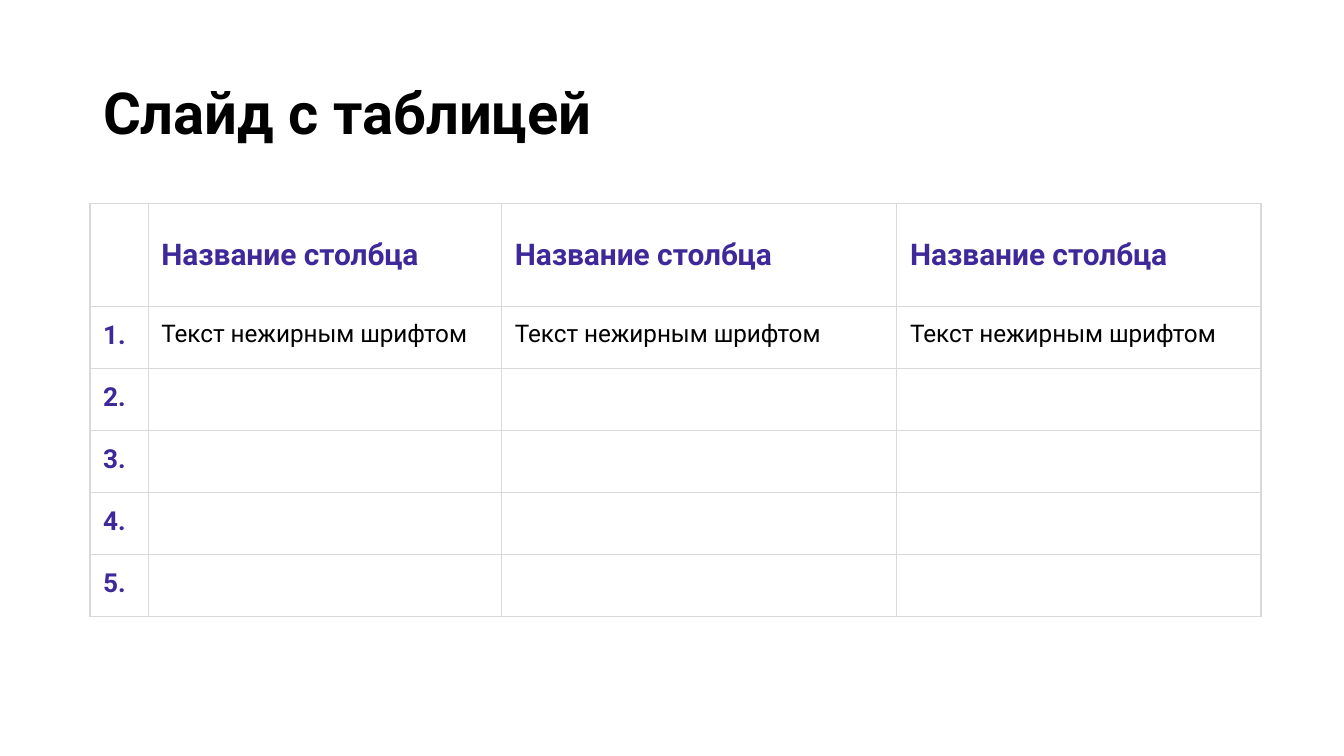
from lxml import etree
from pptx import Presentation
from pptx.dml.color import RGBColor
from pptx.enum.text import MSO_ANCHOR
from pptx.oxml.ns import qn
from pptx.util import Cm, Pt

TOP, MIDDLE = MSO_ANCHOR.TOP, MSO_ANCHOR.MIDDLE
BLACK = RGBColor(0x00, 0x00, 0x00)
WHITE = RGBColor(0xFF, 0xFF, 0xFF)
VIOLET = RGBColor(0x3F, 0x29, 0x9A)
GREY = RGBColor(0xD9, 0xD9, 0xD9)

FONT = "Roboto"
PAD = Cm(0.25)
EDGE = Pt(0.75)
TITLE = {"size": Pt(31), "bold": True, "color": BLACK}
HEAD = {"size": Pt(16), "bold": True, "color": VIOLET}
INDEX = {"size": Pt(14), "bold": True, "color": VIOLET}
BODY = {"size": Pt(13), "bold": False, "color": BLACK}

COLS = (1.1, 6.68, 7.47, 6.88)
ROWS = (1.96,) + (1.17,) * 5
NAMES = [""] + ["Название столбца"] * 3
TEXTS = ["Текст нежирным шрифтом"] * 3


def pad(box):
    for side in ("left", "right", "top", "bottom"):
        setattr(box, f"margin_{side}", PAD)


def write(frame, text, look):
    """Put styled text in a frame; an empty one only keeps its line size."""
    par = frame.paragraphs[0]
    if not text:
        end = etree.SubElement(par._p, qn("a:endParaRPr"))
        end.set("sz", str(int(look["size"].pt * 100)))
        return
    run = par.add_run()
    run.text = text
    run.font.name = FONT
    for key, value in look.items():
        if key == "color":
            run.font.color.rgb = value
        else:
            setattr(run.font, key, value)


def add_edges(cell):
    props = cell._tc.get_or_add_tcPr()
    for tag in ("a:lnL", "a:lnR", "a:lnT", "a:lnB"):
        line = etree.SubElement(props, qn(tag), w=str(EDGE))
        fill = etree.SubElement(line, qn("a:solidFill"))
        etree.SubElement(fill, qn("a:srgbClr"), val=str(GREY))


def add_title(slide, left, top, width, height):
    frame = slide.shapes.add_textbox(left, top, width, height).text_frame
    frame.word_wrap = True
    frame.vertical_anchor = TOP
    pad(frame)
    write(frame, "Слайд с таблицей", TITLE)


def add_grid(slide, left, top, width, height):
    """Place the table; column and row sizes share out the given box."""
    table = slide.shapes.add_table(
        len(ROWS), len(COLS), left, top, width, height).table
    table.first_row = table.horz_banding = False
    for col, part in zip(table.columns, COLS):
        col.width = int(width * part / sum(COLS))
    for row, part in zip(table.rows, ROWS):
        row.height = int(height * part / sum(ROWS))

    for r in range(len(ROWS)):
        rest = TEXTS if r == 1 else [""] * 3
        words = [f"{r}."] + rest if r else NAMES
        for c, text in enumerate(words):
            cell = table.cell(r, c)
            pad(cell)
            add_edges(cell)
            if r == 0:
                cell.vertical_anchor = MIDDLE
                cell.fill.solid()
                cell.fill.fore_color.rgb = WHITE
                look = HEAD
            else:
                cell.fill.background()
                look = BODY if c else INDEX
            write(cell.text_frame, text, look)


def main():
    deck = Presentation()
    deck.slide_width, deck.slide_height = Cm(25.4), Cm(14.29)
    slide = deck.slides.add_slide(deck.slide_layouts[6])
    add_title(slide, Cm(1.7), Cm(1.2), Cm(23.67), Cm(3.05))
    add_grid(slide, Cm(1.7), Cm(3.84), Cm(22.13), Cm(7.81))
    deck.save("out.pptx")


if __name__ == "__main__":
    main()
